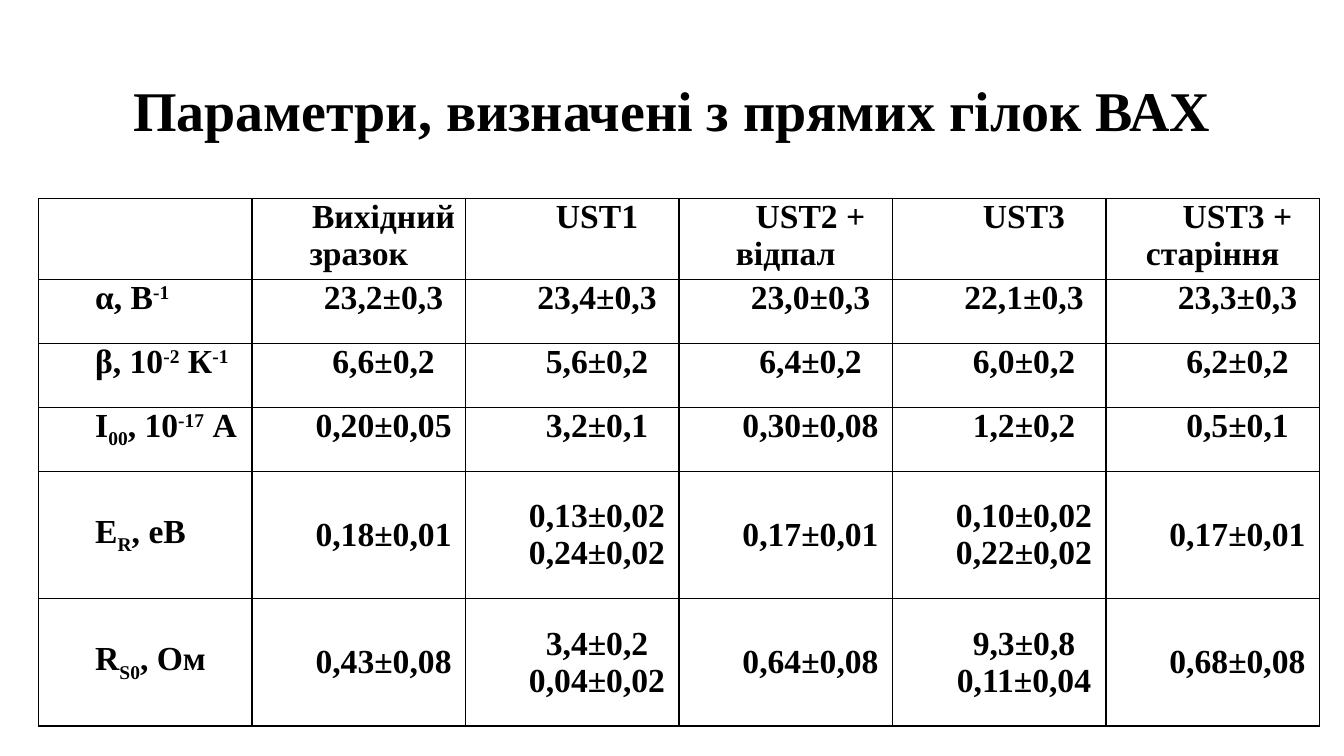
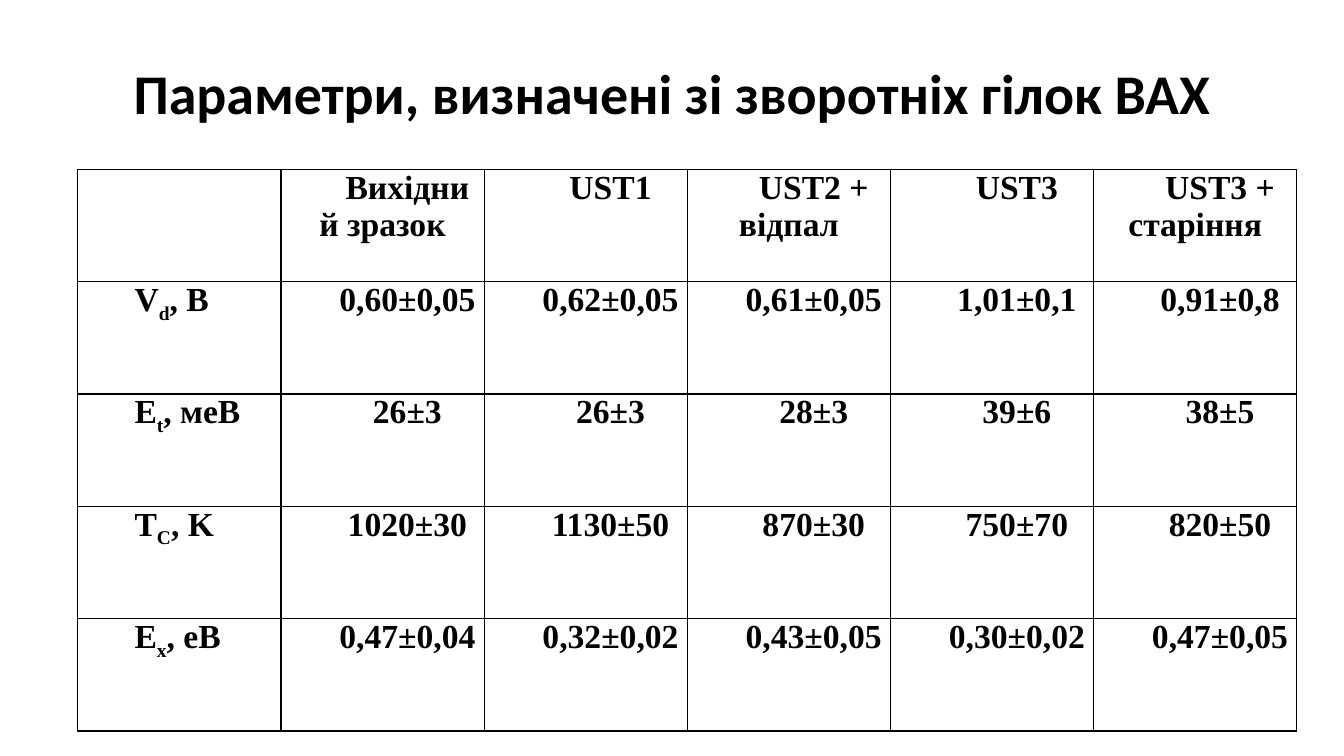
"""Build two slides with tables of parameters from current-voltage curves."""
from dataclasses import dataclass

from lxml import etree
from pptx import Presentation
from pptx import util as u
from pptx.dml.color import RGBColor
from pptx.enum import text
from pptx.oxml import ns

TOP, MIDDLE = text.MSO_ANCHOR.TOP, text.MSO_ANCHOR.MIDDLE
LEFT, CENTER, JUSTIFY = text.PP_ALIGN.LEFT, text.PP_ALIGN.CENTER, text.PP_ALIGN.JUSTIFY
HEADER = ["", "Вихідний зразок", "UST1", "UST2 + відпал", "UST3", "UST3 + старіння"]

SLIDES = [
    {
        "title": "Параметри, визначені з прямих гілок ВАХ",
        "title_font": "Times New Roman", "title_top": 1.02,
        "left": 0.97, "top": 4.04, "column": 5.38,
        "rows": [
            (0.97, TOP, []),
            (1.93, TOP, HEADER),
            (1.61, TOP, ["α, В|^-1", "23,2±0,3", "23,4±0,3", "23,0±0,3", "22,1±0,3", "23,3±0,3"]),
            (1.61, TOP, ["β, 10|^-2|\u00a0К|^-1", "6,6±0,2", "5,6±0,2", "6,4±0,2", "6,0±0,2", "6,2±0,2"]),
            (1.61, TOP, ["І|_00|, 10|^-17| А", "0,20±0,05", "3,2±0,1", "0,30±0,08", "1,2±0,2", "0,5±0,1"]),
            (3.21, MIDDLE, ["Е|_R|, еВ", "0,18±0,01", "0,13±0,02\n0,24±0,02", "0,17±0,01",
                            "0,10±0,02\n0,22±0,02", "0,17±0,01"]),
            (3.21, MIDDLE, ["R|_S0|, Ом", "0,43±0,08", "3,4±0,2\n0,04±0,02", "0,64±0,08",
                            "9,3±0,8\n0,11±0,04", "0,68±0,08"]),
        ],
    },
    {
        "title": "Параметри, визначені зі зворотніх гілок ВАХ",
        "title_font": "Calibri", "title_top": 0.58,
        "left": 1.96, "top": 4.27, "column": 5.12,
        "rows": [
            (2.83, TOP, HEADER),
            (2.83, TOP, ["V|_d|, В", "0,60±0,05", "0,62±0,05", "0,61±0,05", "1,01±0,1", "0,91±0,8"]),
            (2.83, TOP, ["E|_t|, меB", "26±3", "26±3", "28±3", "39±6", "38±5"]),
            (2.83, TOP, ["T|_С|, K", "1020±30", "1130±50", "870±30", "750±70", "820±50"]),
            (2.83, TOP, ["E|_x|, eB", "0,47±0,04", "0,32±0,02", "0,43±0,05", "0,30±0,02", "0,47±0,05"]),
        ],
    },
]


@dataclass(frozen=True)
class Theme:
    ink: str = "000000"
    table_font: str = "Times New Roman"
    title_size: int = 40
    table_size: int = 24
    border: float = 1
    indent: float = 1.25
    padding: float = 0.18
    plain_table: str = "{2D5ABB26-0587-4C30-8999-92F81FD0307C}"


THEME = Theme()
BASELINES = {"^": "30000", "_": "-25000"}


def write(frame, content, *, font, size, align=CENTER, indent=0, spacing=None):
    """Write bold lines; pieces after | may start with ^ (raised) or _ (lowered)."""
    frame.word_wrap = True
    for number, line in enumerate(content.split("\n")):
        paragraph = frame.add_paragraph() if number else frame.paragraphs[0]
        paragraph.alignment = align
        paragraph.line_spacing = spacing
        if indent:
            properties = paragraph._p.get_or_add_pPr()
            properties.set("marL", "0")
            properties.set("indent", str(u.Cm(indent)))
        for piece in line.split("|"):
            baseline = BASELINES.get(piece[:1])
            run = paragraph.add_run()
            run.text = piece[1:] if baseline else piece
            run.font.name, run.font.size, run.font.bold = font, u.Pt(size), True
            run.font.color.rgb = RGBColor.from_string(THEME.ink)
            if baseline:
                run.font._element.set("baseline", baseline)


def set_borders(cell, visible):
    properties = cell._tc.get_or_add_tcPr()
    for position, side in enumerate("LRTB"):
        line = etree.Element(ns.qn(f"a:ln{side}"), w=str(u.Pt(THEME.border)))
        if side in visible:
            fill = etree.SubElement(line, ns.qn("a:solidFill"))
            etree.SubElement(fill, ns.qn("a:srgbClr"), val=THEME.ink)
        else:
            etree.SubElement(line, ns.qn("a:noFill"))
        properties.insert(position, line)


def add_title(slide, content):
    box = slide.shapes.add_textbox(u.Cm(2.33), u.Cm(content["title_top"]), u.Cm(29.21), u.Cm(3.68))
    box.text_frame.vertical_anchor = MIDDLE
    write(box.text_frame, content["title"], font=content["title_font"],
          size=THEME.title_size, spacing=0.9)


def fill_cell(cell, content, anchor, column, borders):
    cell.fill.background()
    set_borders(cell, borders)
    cell.margin_left = cell.margin_right = u.Cm(THEME.padding)
    cell.margin_top = cell.margin_bottom = 0
    cell.vertical_anchor = anchor
    if content:
        label_align = LEFT if anchor == MIDDLE else JUSTIFY
        write(cell.text_frame, content, font=THEME.table_font, size=THEME.table_size,
              align=CENTER if column else label_align, indent=THEME.indent)


def add_parameter_table(slide, content):
    rows, columns = content["rows"], len(HEADER)
    frame = slide.shapes.add_table(
        len(rows), columns, u.Cm(content["left"]), u.Cm(content["top"]),
        u.Cm(content["column"] * columns), u.Cm(sum(row[0] for row in rows)))
    table = frame.table
    table.first_row = table.horz_banding = False
    table._tbl.tblPr.find(ns.qn("a:tableStyleId")).text = THEME.plain_table
    for column in table.columns:
        column.width = u.Cm(content["column"])
    for row, (height, anchor, values) in enumerate(rows):
        table.rows[row].height = u.Cm(height)
        for column, value in enumerate(values or [""] * columns):
            fill_cell(table.cell(row, column), value, anchor, column, "LRTB" if values else "B")
        if not values:
            table.cell(row, 0).merge(table.cell(row, columns - 1))


presentation = Presentation()
presentation.slide_width, presentation.slide_height = u.Cm(33.87), u.Cm(19.05)
for slide_content in SLIDES:
    new_slide = presentation.slides.add_slide(presentation.slide_layouts[6])
    add_title(new_slide, slide_content)
    add_parameter_table(new_slide, slide_content)
presentation.save("out.pptx")
